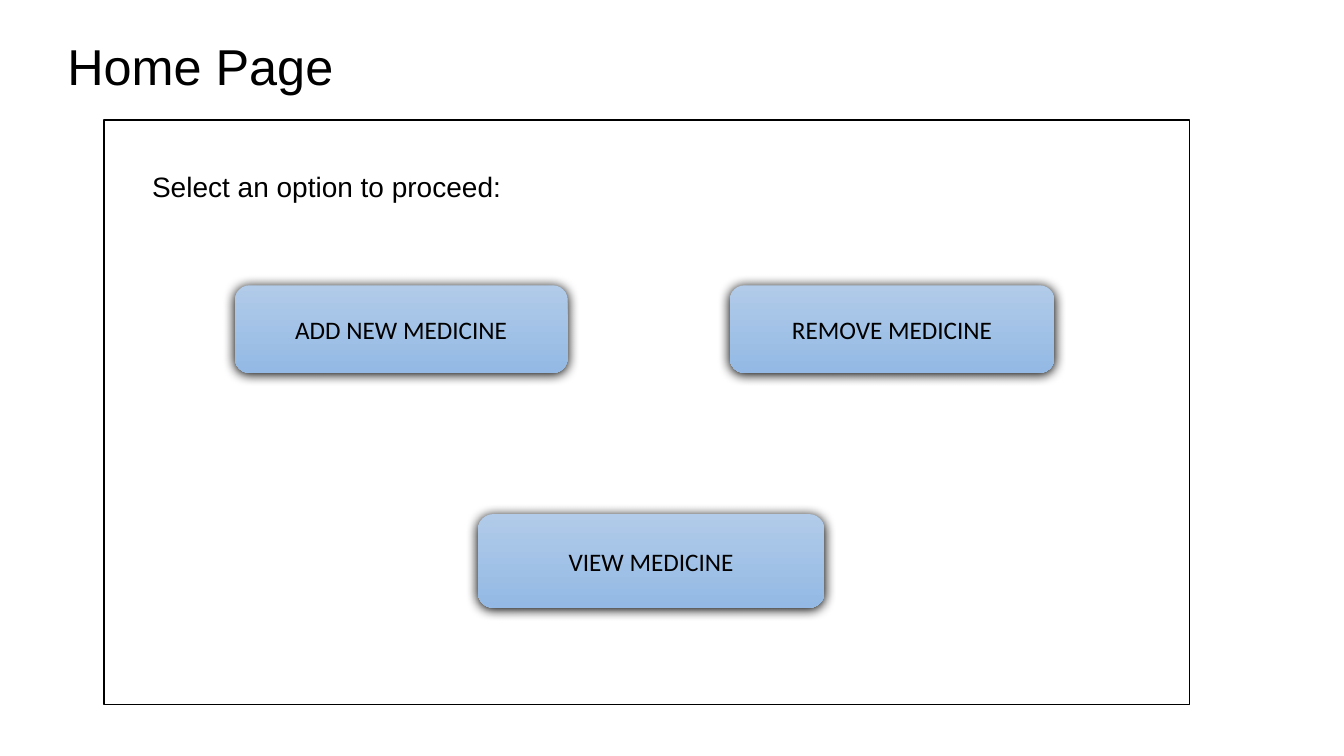
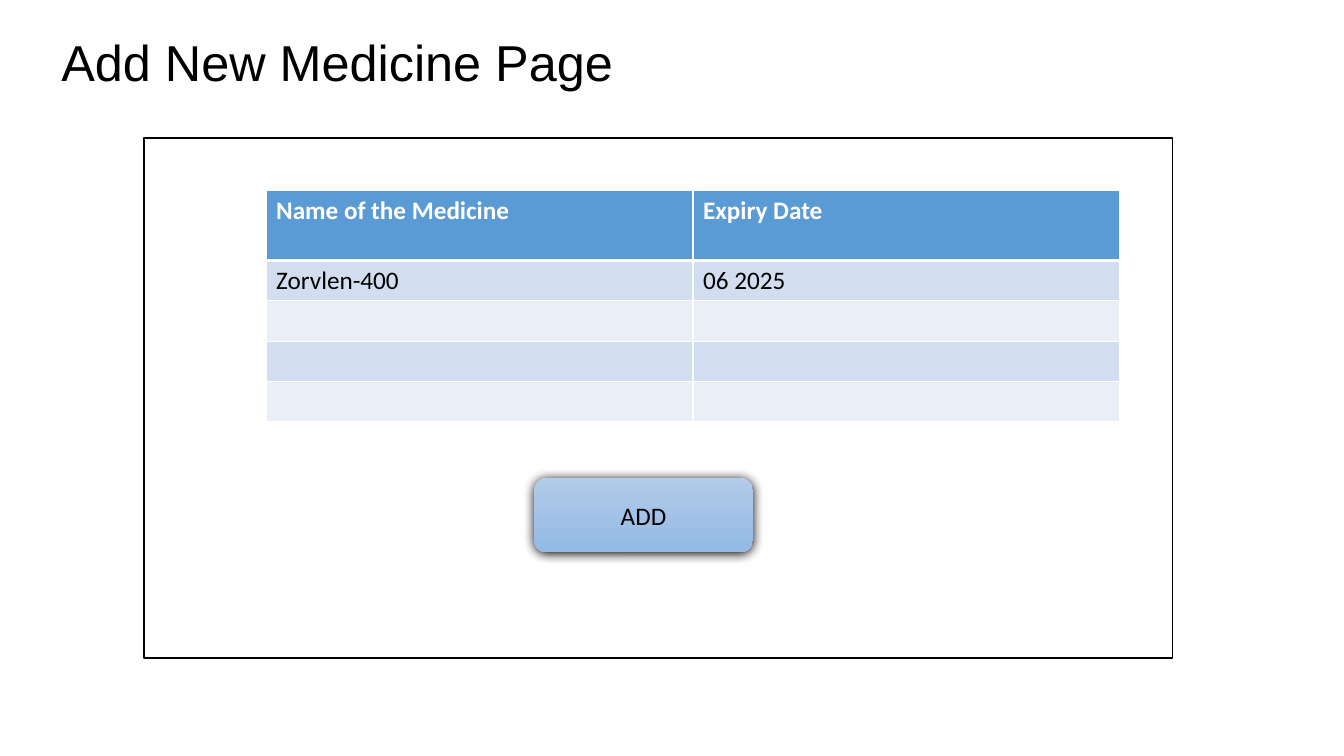
from lxml import etree
from pptx import Presentation
from pptx.dml.color import RGBColor
from pptx.enum.shapes import MSO_SHAPE
from pptx.enum.text import MSO_ANCHOR, PP_ALIGN
from pptx.oxml.ns import qn
from pptx.util import Pt

RECTANGLE = MSO_SHAPE.RECTANGLE
ROUNDED = MSO_SHAPE.ROUNDED_RECTANGLE
MIDDLE = MSO_ANCHOR.MIDDLE
LEFT = PP_ALIGN.LEFT
CENTER = PP_ALIGN.CENTER

COLORS = {
    "black": "000000",
    "white": "FFFFFF",
    "button_top": "B1CBE9",
    "button_bottom": "93B9E4",
    "header": "5B9BD5",
    "band_dark": "D2DEEF",
    "band_light": "EAEFF7",
}
RGB = {name: RGBColor.from_string(value) for name, value in COLORS.items()}

STYLES = {
    "title": {"name": "Arial", "size": Pt(36), "bold": False},
    "prompt": {"name": "Arial", "size": Pt(20), "bold": False},
    "body": {"name": "Calibri", "size": Pt(18), "bold": False},
    "header": {"name": "Calibri", "size": Pt(18), "bold": True},
}

PAGES = [
    {
        "panel": (74.2, 85.7, 775.4, 417.6),
        "labels": [
            ("Home Page", "title", (41, 21.6, 275.8, 51.1)),
            ("Select an option to proceed:", "prompt", (101.5, 117.4, 272.9, 31.7)),
        ],
        "buttons": [
            ("ADD NEW MEDICINE", (167.8, 203.8, 237.6, 62.6)),
            ("REMOVE MEDICINE", (521.3, 203.8, 231.8, 62.6)),
            ("VIEW MEDICINE", (341.3, 367.2, 247.7, 67)),
        ],
    },
    {
        "panel": (103, 98.6, 734.4, 371.5),
        "labels": [("Add New Medicine Page", "title", (36.7, 18.7, 539.3, 51.1))],
        "buttons": [("ADD", (381.6, 341.3, 156.2, 53.3))],
    },
]

MEDICINES = [
    ("Name of the Medicine", "Expiry Date"),
    ("Zorvlen-400", "06 2025"),
    ("", ""),
    ("", ""),
    ("", ""),
]
HEADER_HEIGHT = 50
ROW_HEIGHT = 28.8
TABLE_WIDTH = 609.8


def write(frame, text, style, color="black", align=LEFT):
    paragraph = frame.paragraphs[0]
    paragraph.alignment = align
    run = paragraph.add_run()
    run.text = text
    for attribute, value in STYLES[style].items():
        setattr(run.font, attribute, value)
    run.font.color.rgb = RGB[color]


def add_box(slide, preset, place):
    box = slide.shapes.add_shape(preset, *map(Pt, place))
    box.shadow.inherit = False
    return box


prs = Presentation()
prs.slide_width = Pt(960)
prs.slide_height = Pt(540)
blank = prs.slide_layouts[6]

for page in PAGES:
    slide = prs.slides.add_slide(blank)

    panel = add_box(slide, RECTANGLE, page["panel"])
    panel.fill.solid()
    panel.fill.fore_color.rgb = RGB["white"]
    panel.line.color.rgb = RGB["black"]
    panel.line.width = Pt(1)

    for text, style, place in page["labels"]:
        label = slide.shapes.add_textbox(*map(Pt, place))
        label.text_frame.word_wrap = True
        write(label.text_frame, text, style)

    for text, place in page["buttons"]:
        button = add_box(slide, ROUNDED, place)
        button.line.fill.background()
        button.fill.gradient()
        button.fill.gradient_angle = 270
        for stop, color in zip(button.fill.gradient_stops, ("button_top", "button_bottom")):
            stop.color.rgb = RGB[color]
        effects = button._element.spPr.find(qn("a:effectLst"))
        shadow = etree.SubElement(
            effects, qn("a:outerShdw"),
            blurRad=str(Pt(8.5)), dist=str(Pt(1)), dir="5400000", rotWithShape="0",
        )
        etree.SubElement(shadow, qn("a:srgbClr"), val=COLORS["black"])
        button.text_frame.vertical_anchor = MIDDLE
        write(button.text_frame, text, "body", align=CENTER)

table_height = HEADER_HEIGHT + ROW_HEIGHT * (len(MEDICINES) - 1)
table = slide.shapes.add_table(
    len(MEDICINES), 2, Pt(190.1), Pt(136.1), Pt(TABLE_WIDTH), Pt(table_height)
).table
for column in table.columns:
    column.width = Pt(TABLE_WIDTH / 2)

for row_index, medicine in enumerate(MEDICINES):
    is_header = row_index == 0
    band = "header" if is_header else ("band_light", "band_dark")[row_index % 2]
    table.rows[row_index].height = Pt(HEADER_HEIGHT if is_header else ROW_HEIGHT)
    for column_index, text in enumerate(medicine):
        cell = table.cell(row_index, column_index)
        borders = {
            "a:lnL": 1,
            "a:lnR": 1,
            "a:lnT": 3 if row_index == 1 else 1,
            "a:lnB": 3 if is_header else 1,
        }
        properties = cell._tc.get_or_add_tcPr()
        for tag, width in borders.items():
            border = etree.SubElement(properties, qn(tag), w=str(Pt(width)))
            paint = etree.SubElement(border, qn("a:solidFill"))
            etree.SubElement(paint, qn("a:srgbClr"), val=COLORS["white"])
        cell.fill.solid()
        cell.fill.fore_color.rgb = RGB[band]
        if text:
            style, color = ("header", "white") if is_header else ("body", "black")
            write(cell.text_frame, text, style, color)

prs.save("out.pptx")
